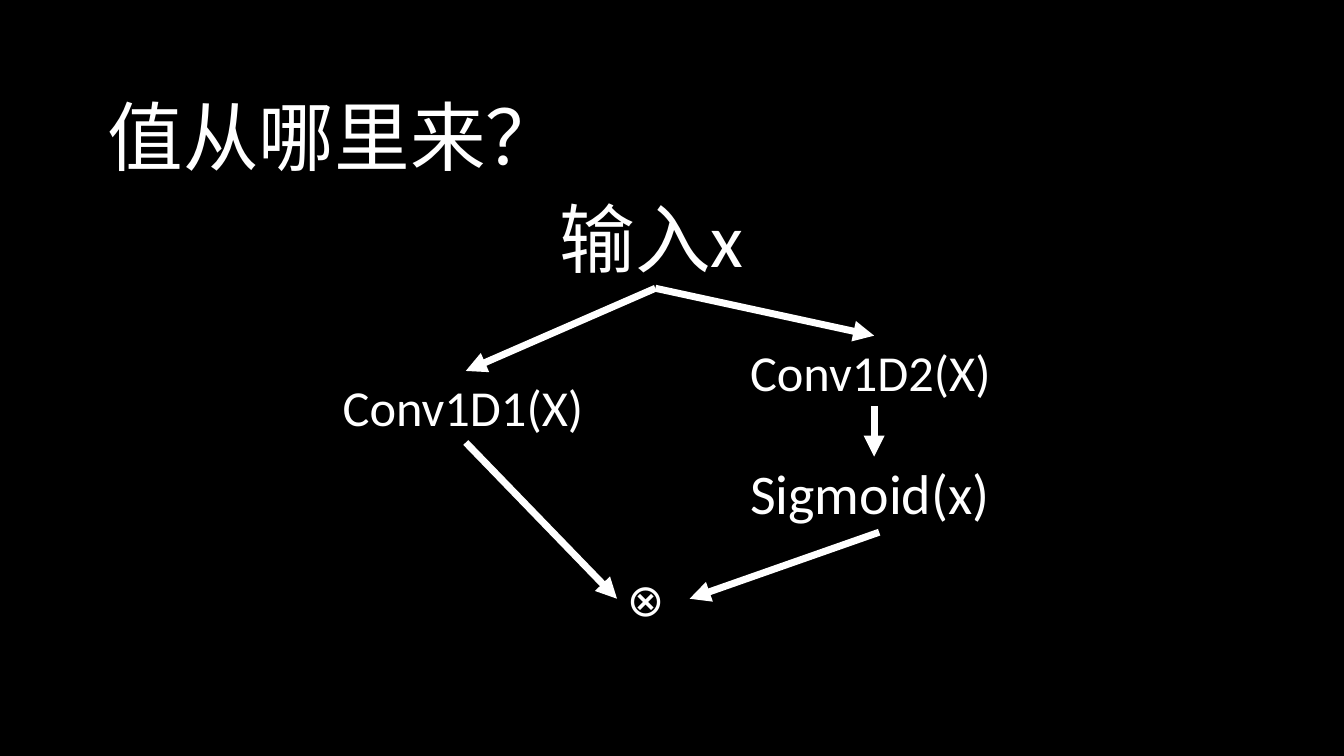
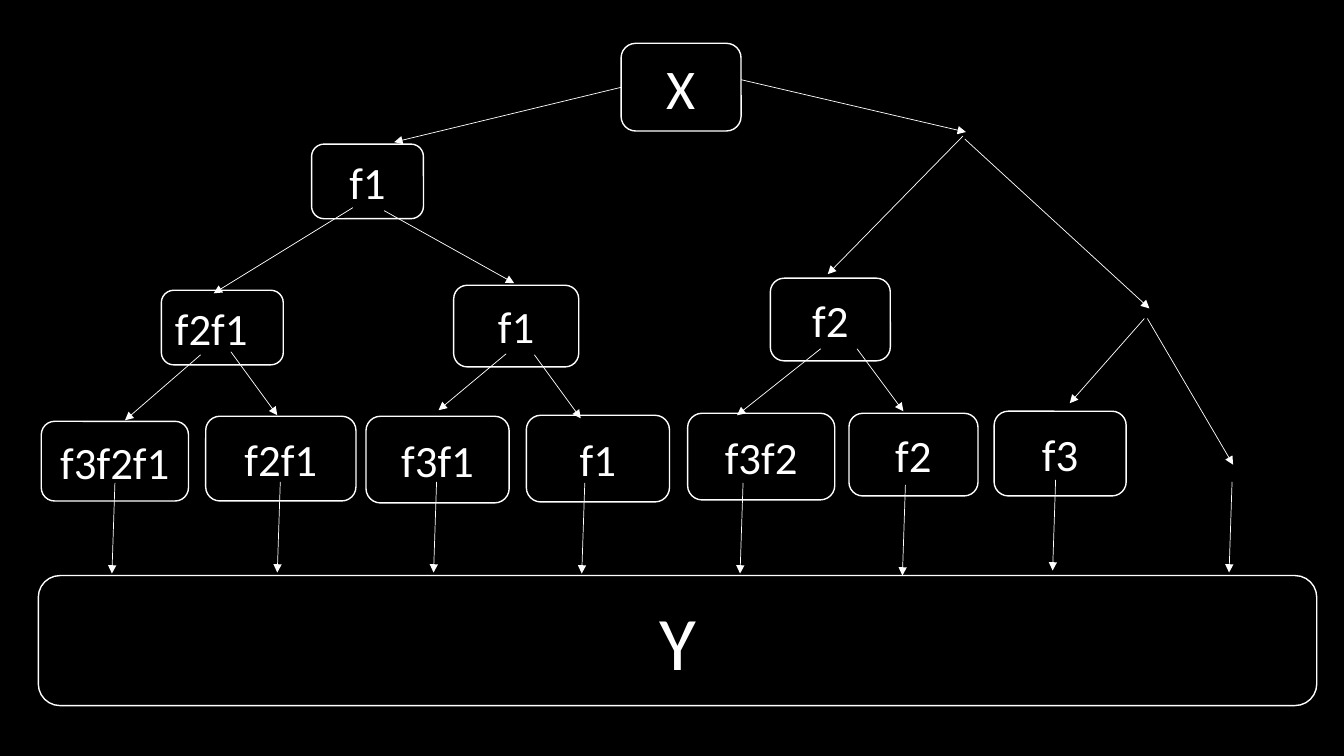
import dataclasses

import lxml.etree
import pptx
import pptx.dml.color
import pptx.enum.shapes
import pptx.enum.text
import pptx.oxml.ns
import pptx.util

Inches = pptx.util.Inches
Align = pptx.enum.text.PP_ALIGN
Anchor = pptx.enum.text.MSO_ANCHOR


@dataclasses.dataclass(frozen=True)
class Theme:
    """Colours, font, type sizes and line widths of both slides."""
    paper = pptx.dml.color.RGBColor(0x00, 0x00, 0x00)
    ink = pptx.dml.color.RGBColor(0xFF, 0xFF, 0xFF)
    font = "Calibri"
    display = 54
    large = 40
    formula = 36
    node = 32
    border = 1
    flow_line = 5
    tree_line = 0.5


theme = Theme()


def write(shape, text, size, align=Align.LEFT, anchor=Anchor.TOP):
    """Put one styled paragraph into a shape and return the paragraph."""
    frame = shape.text_frame
    frame.word_wrap = True
    frame.vertical_anchor = anchor
    frame.text = text
    paragraph = frame.paragraphs[0]
    paragraph.alignment = align
    font = paragraph.runs[0].font
    font.name = theme.font
    font.size = pptx.util.Pt(size)
    font.color.rgb = theme.ink
    return paragraph


def draw_arrow(slide, start, end, width):
    """Draw a straight arrow between two points given in inches."""
    arrow = slide.shapes.add_connector(
        pptx.enum.shapes.MSO_CONNECTOR.STRAIGHT,
        *(Inches(length) for length in (*start, *end)))
    arrow.line.color.rgb = theme.ink
    arrow.line.width = pptx.util.Pt(width)
    qn = pptx.oxml.ns.qn
    lxml.etree.SubElement(arrow.line._get_or_add_ln(), qn("a:tailEnd"), type="triangle")
    lxml.etree.SubElement(arrow._element.spPr, qn("a:effectLst"))


deck = pptx.Presentation()
deck.slide_width = Inches(13.33)
deck.slide_height = Inches(7.5)
background = deck.slide_master.background.fill
background.solid()
background.fore_color.rgb = theme.paper
blank = deck.slide_layouts[6]

# Slide 1: the two branches that make up a gated convolution
gate = deck.slides.add_slide(blank)
title = gate.shapes.add_textbox(Inches(0.97), Inches(0.67), Inches(11.5), Inches(1.45))
heading = write(title, "值从哪里来？", theme.display, anchor=Anchor.MIDDLE)
heading.line_spacing = 0.9

steps = [
    ("输入x", theme.display, 5.45, 1.85, 2.1, 1.01),
    ("Conv1D1(X)", theme.formula, 3.3, 3.68, 2.65, 0.71),
    ("Conv1D2(X)", theme.formula, 7.34, 3.33, 2.65, 0.71),
    ("⊗", theme.node, 6.12, 5.62, 1.43, 0.64),
    ("Sigmoid(x)", theme.large, 7.34, 4.5, 2.75, 0.77),
]
for text, size, *place in steps:
    step = gate.shapes.add_textbox(*(Inches(length) for length in place))
    write(step, text, size)

flows = [
    ((6.5, 2.86), (4.62, 3.68)),
    ((4.62, 4.39), (6.12, 5.94)),
    ((6.5, 2.86), (8.67, 3.33)),
    ((8.67, 4.03), (8.67, 4.53)),
    ((8.72, 5.28), (6.84, 5.94)),
]
for start, end in flows:
    draw_arrow(gate, start, end, theme.flow_line)

# Slide 2: every path from X to Y through three functions
tree = deck.slides.add_slide(blank)
branches = [
    ((6.56, 0.77), (3.91, 1.41)), ((7.26, 0.77), (9.58, 1.31)),
    ((3.5, 2.06), (2.12, 2.91)), ((3.81, 2.09), (5.1, 2.81)),
    ((9.55, 1.35), (8.21, 2.72)), ((9.57, 1.38), (11.4, 3.06)),
    ((1.99, 3.52), (1.24, 4.17)), ((2.29, 3.49), (2.75, 4.12)),
    ((5.02, 3.51), (4.35, 4.07)), ((5.3, 3.52), (5.76, 4.15)),
    ((8.14, 3.46), (7.31, 4.12)), ((8.5, 3.46), (8.96, 4.08)),
    ((11.35, 3.16), (10.61, 4)), ((11.38, 3.16), (12.23, 4.61)),
]
path_ends = [(1.14, 4.79), (2.78, 4.78), (4.33, 4.78), (5.8, 4.79),
             (7.37, 4.79), (8.98, 4.81), (10.47, 4.76), (12.22, 4.78)]
drop_x, drop_y = -0.03, 0.9
branches += [((x, y), (x + drop_x, y + drop_y)) for x, y in path_ends]

functions = [
    ("f1", theme.node, Align.CENTER, 3.09, 1.43, 1.11, 0.74),
    ("f2f1", theme.node, Align.JUSTIFY, 1.6, 2.88, 1.21, 0.74),
    ("f1", theme.node, Align.CENTER, 4.5, 2.83, 1.24, 0.81),
    ("f2", theme.node, Align.CENTER, 7.64, 2.76, 1.19, 0.82),
    ("f3f2f1", theme.node, Align.CENTER, 0.41, 4.18, 1.46, 0.79),
    ("f2f1", theme.node, Align.CENTER, 2.04, 4.13, 1.49, 0.84),
    ("f3f1", theme.node, Align.CENTER, 3.63, 4.13, 1.42, 0.86),
    ("f1", theme.node, Align.CENTER, 5.22, 4.12, 1.42, 0.86),
    ("f3f2", theme.node, Align.CENTER, 6.82, 4.1, 1.46, 0.86),
    ("f2", theme.node, Align.CENTER, 8.42, 4.1, 1.28, 0.82),
    ("f3", theme.node, Align.CENTER, 9.86, 4.08, 1.31, 0.84),
    ("Y", theme.display, Align.CENTER, 0.38, 5.71, 12.68, 1.29),
]
root = ("X", theme.large, Align.CENTER, 6.16, 0.43, 1.19, 0.87)

# The root comes after the arrows so that it covers where they start
for text, size, align, *place in [*functions, root]:
    if text == "X":
        for start, end in branches:
            draw_arrow(tree, start, end, theme.tree_line)
    node = tree.shapes.add_shape(
        pptx.enum.shapes.MSO_SHAPE.ROUNDED_RECTANGLE,
        *(Inches(length) for length in place))
    node.shadow.inherit = False
    node.fill.solid()
    node.fill.fore_color.rgb = theme.paper
    node.line.color.rgb = theme.ink
    node.line.width = pptx.util.Pt(theme.border)
    write(node, text, size, align, Anchor.MIDDLE)

deck.save("out.pptx")
